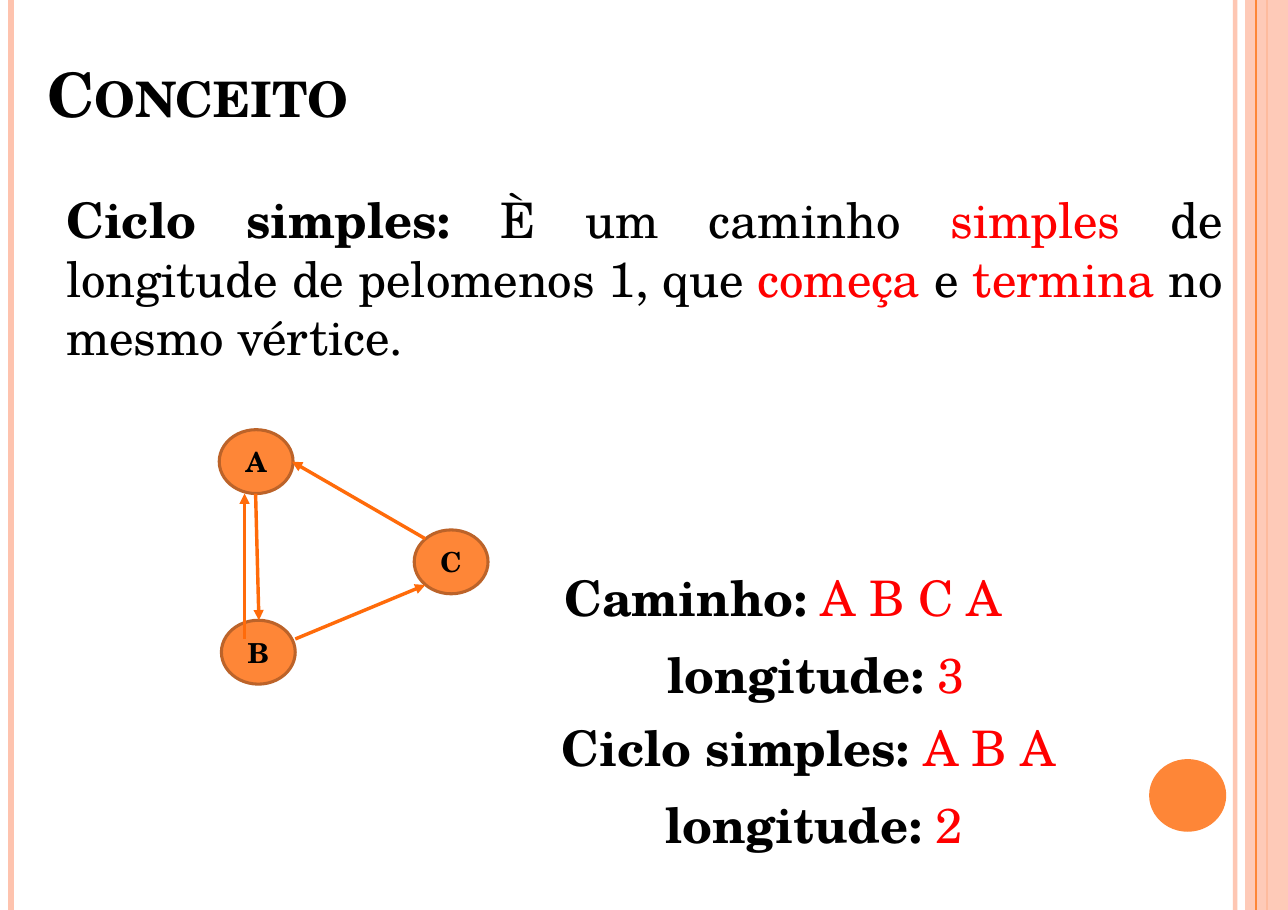
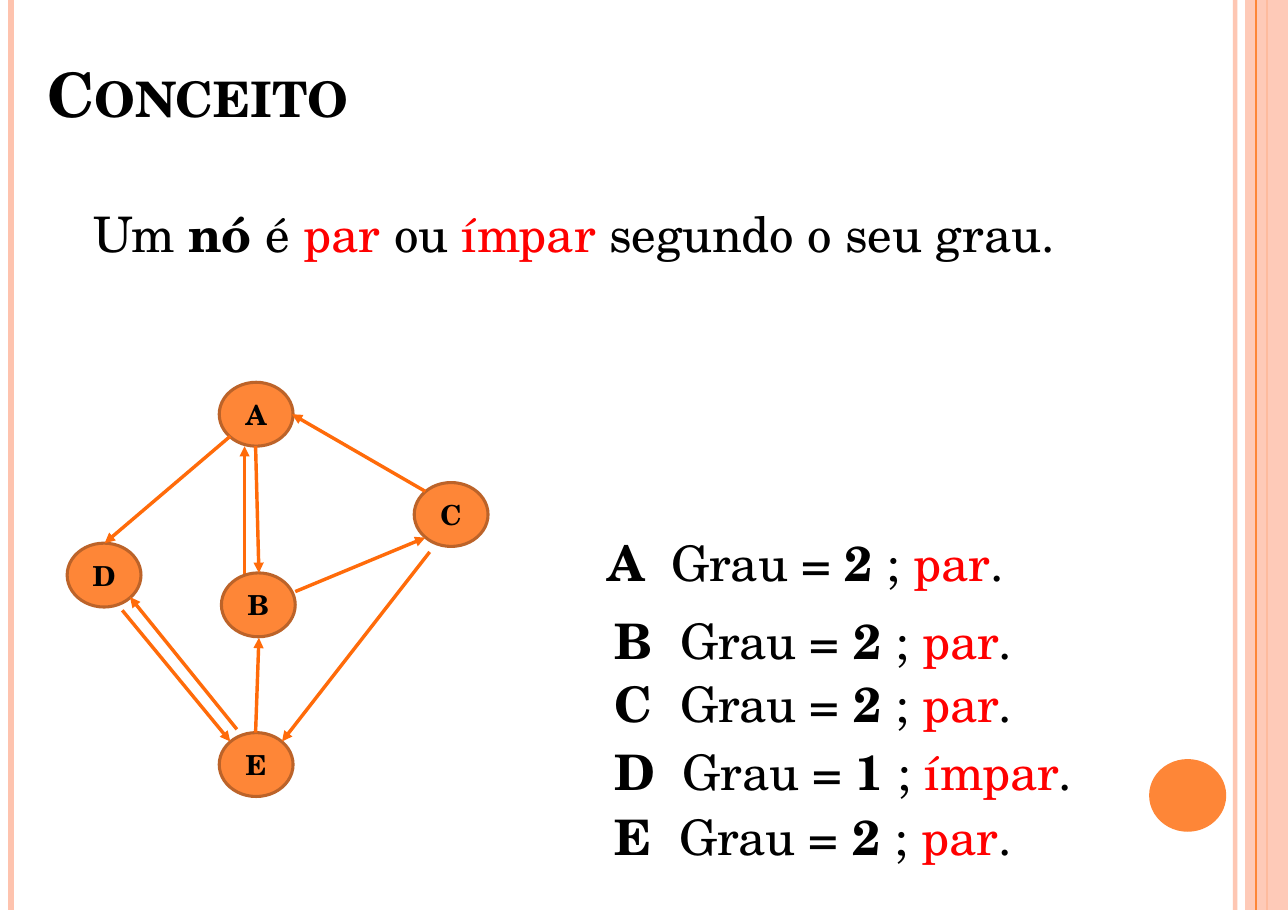
import dataclasses

import lxml.etree
import pptx
import pptx.dml.color
import pptx.enum.shapes
import pptx.enum.text
import pptx.oxml.ns
import pptx.util

Inches = pptx.util.Inches
Align = pptx.enum.text.PP_ALIGN
Anchor = pptx.enum.text.MSO_ANCHOR
Preset = pptx.enum.shapes.MSO_SHAPE
TITLE_ONLY = 5


@dataclasses.dataclass(frozen=True)
class Theme:
    width: float = 11.69
    height: float = 8.26
    font: str = "TeX Gyre Schola"
    title_size: int = 40
    body_size: int = 32
    node_size: int = 18
    ink: str = "000000"
    accent: str = "FF0000"
    orange: str = "FE8637"
    peach: str = "FEC3AE"
    node_line: str = "BC6329"
    arrow: str = "FF6B0A"
    arrow_width: float = 2.25
    node_width: float = 0.67
    node_height: float = 0.58


THEME = Theme()

# Graph places are (x, y) with y measured from the top of node A.
TRIANGLE_NODES = {"A": (1.99, 0), "C": (3.76, 0.91), "B": (2.01, 1.73)}
TRIANGLE_EDGES = [
    ((2.32, 0.58), (2.35, 1.73)),
    ((2.68, 1.9), (3.86, 1.41)),
    ((3.86, 0.99), (2.65, 0.29)),
]
RETURN_EDGE = [((2.22, 1.9), (2.22, 0.58))]
OUTER_NODES = {"D": (0.61, 1.46), "E": (1.99, 3.18)}
OUTER_EDGES = [
    ((2.09, 0.49), (0.95, 1.46)),
    ((1.11, 2.07), (2.09, 3.26)),
    ((3.9, 1.54), (2.56, 3.26)),
    ((2.32, 3.18), (2.35, 2.32)),
    ((2.15, 3.15), (1.18, 1.95)),
]


def rgb(value):
    return pptx.dml.color.RGBColor.from_string(value)


def add_xml(parent, tag, **attributes):
    return lxml.etree.SubElement(parent, pptx.oxml.ns.qn(tag), **attributes)


def set_opacity(shape, percent):
    color = shape.element.xpath("./p:spPr//a:srgbClr")[0]
    add_xml(color, "a:alpha", val=str(percent * 1000))


def add_span(para, text, size, color=THEME.ink, bold=False):
    span = para.add_run()
    span.text = text
    span.font.name = THEME.font
    span.font.size = pptx.util.Pt(size)
    span.font.bold = bold
    span.font.color.rgb = rgb(color)
    return span


def set_frame(frame, anchor, top_inset=0):
    frame.word_wrap = True
    frame.auto_size = pptx.enum.text.MSO_AUTO_SIZE.NONE
    frame.vertical_anchor = anchor
    frame.margin_left = frame.margin_right = frame.margin_bottom = 0
    frame.margin_top = Inches(top_inset)


def add_line(page, start, end, color, width):
    line = page.shapes.add_connector(
        pptx.enum.shapes.MSO_CONNECTOR.STRAIGHT, *map(Inches, start + end))
    line.line.color.rgb = rgb(color)
    line.line.width = pptx.util.Pt(width)
    add_xml(line.element.spPr, "a:effectLst")
    return line


def add_filled(page, preset, left, top, width, height, color):
    shape = page.shapes.add_shape(preset, *map(Inches, (left, top, width, height)))
    shape.shadow.inherit = False
    shape.fill.solid()
    shape.fill.fore_color.rgb = rgb(color)
    shape.line.fill.background()
    return shape


def add_rule(page, x, color, width):
    """Draw a vertical line over the full height of the slide."""
    return add_line(page, (x, 0), (x, THEME.height), color, width)


def add_decoration(page):
    inner_rule = add_rule(page, 11.21, THEME.peach, 3)
    set_opacity(inner_rule, 93)
    left_rule = add_rule(page, 0.1, THEME.peach, 4.5)
    covered_rule = add_rule(page, 11.5, THEME.orange, 1.5)
    band = add_filled(page, Preset.RECTANGLE, 11.3, 0, 0.39, THEME.height, THEME.peach)
    set_opacity(band, 87)
    band_rule = add_rule(page, 11.4, THEME.orange, 0.75)
    disc = add_filled(page, Preset.OVAL, 10.43, 6.89, 0.7, 0.66, THEME.orange)
    return [inner_rule, left_rule, covered_rule, band, band_rule, disc]


def decorate_layout(layout, page):
    """Draw the shared decoration on a page and move it to the layout."""
    for holder in list(layout.placeholders):
        if holder.placeholder_format.idx != 0:
            layout.shapes.element.remove(holder.element)
    for shape in add_decoration(page):
        layout.shapes.element.append(shape.element)


def add_title(page, text):
    title = page.shapes.title
    title.left, title.top, title.width, title.height = map(
        Inches, (0.43, 0.49, 3.83, 0.69))
    set_frame(title.text_frame, Anchor.BOTTOM, 0.01)
    para = title.text_frame.paragraphs[0]
    para.alignment = Align.LEFT
    span = add_span(para, text, THEME.title_size, bold=True)
    span.font._element.set("cap", "small")


def add_text(page, left, top, width, spans, height=0.66):
    """Add justified text; spans are (text, style), with style "", "bold" or "accent"."""
    box = page.shapes.add_textbox(*map(Inches, (left, top, width, height)))
    set_frame(box.text_frame, Anchor.TOP, 0.12)
    para = box.text_frame.paragraphs[0]
    para.alignment = Align.JUSTIFY
    for text, style in spans:
        color = THEME.accent if style == "accent" else THEME.ink
        span = add_span(para, text, THEME.body_size, color, style == "bold")
        span.font._element.set("spc", "-10")


def add_nodes(page, nodes, graph_top):
    for name, (left, top) in nodes.items():
        node = add_filled(page, Preset.OVAL, left, graph_top + top,
                          THEME.node_width, THEME.node_height, THEME.orange)
        node.line.color.rgb = rgb(THEME.node_line)
        node.line.width = pptx.util.Pt(2)
        set_frame(node.text_frame, Anchor.MIDDLE)
        para = node.text_frame.paragraphs[0]
        para.alignment = Align.CENTER
        add_span(para, name, THEME.node_size, bold=True)


def add_edges(page, edges, graph_top):
    for (x1, y1), (x2, y2) in edges:
        edge = add_line(page, (x1, graph_top + y1), (x2, graph_top + y2),
                        THEME.arrow, THEME.arrow_width)
        outline = edge.element.xpath("./p:spPr/a:ln")[0]
        add_xml(outline, "a:tailEnd", type="triangle")


def build_cycle_page(page):
    add_title(page, "Conceito")
    add_text(page, 0.6, 1.6, 10.5, [
        ("Ciclo simples: ", "bold"), ("È um caminho ", ""), ("simples", "accent"),
        (" de longitude de pelomenos 1, que ", ""), ("começa", "accent"),
        (" e ", ""), ("termina", "accent"), (" no mesmo vértice.", ""),
    ], height=1.74)
    graph_top = 3.9
    add_nodes(page, TRIANGLE_NODES, graph_top)
    add_edges(page, TRIANGLE_EDGES + RETURN_EDGE, graph_top)
    for left, top, label, value in [
        (5.12, 5.03, "Caminho: ", "A B C A"),
        (6.06, 5.73, "longitude: ", "3"),
        (5.1, 6.39, "Ciclo simples: ", "A B A"),
        (6.04, 7.09, "longitude: ", "2"),
    ]:
        add_text(page, left, top, 5.06, [(label, "bold"), (value, "accent")])


def build_degree_page(page):
    add_title(page, "Conceito")
    add_text(page, 0.85, 1.73, 10.25, [
        ("Um ", ""), ("nó ", "bold"), ("é ", ""), ("par", "accent"), (" ou ", ""),
        ("ímpar", "accent"), (" segundo o seu grau.", ""),
    ])
    graph_top = 3.47
    add_edges(page, RETURN_EDGE, graph_top)
    add_nodes(page, TRIANGLE_NODES | OUTER_NODES, graph_top)
    add_edges(page, TRIANGLE_EDGES + OUTER_EDGES, graph_top)
    for left, top, name, degree in [
        (5.51, 4.71, "A", 2),
        (5.58, 5.42, "B", 2),
        (5.58, 5.99, "C", 2),
        (5.58, 6.61, "D", 1),
        (5.58, 7.2, "E", 2),
    ]:
        parity = "ímpar" if degree % 2 else "par"
        add_text(page, left, top, 5, [
            (f"{name} ", "bold"), (" Grau = ", ""), (f"{degree} ", "bold"),
            ("; ", ""), (parity, "accent"), (".", ""),
        ])


def main():
    deck = pptx.Presentation()
    deck.slide_width = Inches(THEME.width)
    deck.slide_height = Inches(THEME.height)
    layout = deck.slide_layouts[TITLE_ONLY]
    cycle_page, degree_page = (deck.slides.add_slide(layout) for _ in range(2))
    decorate_layout(layout, cycle_page)
    build_cycle_page(cycle_page)
    build_degree_page(degree_page)
    deck.save("out.pptx")


if __name__ == "__main__":
    main()
